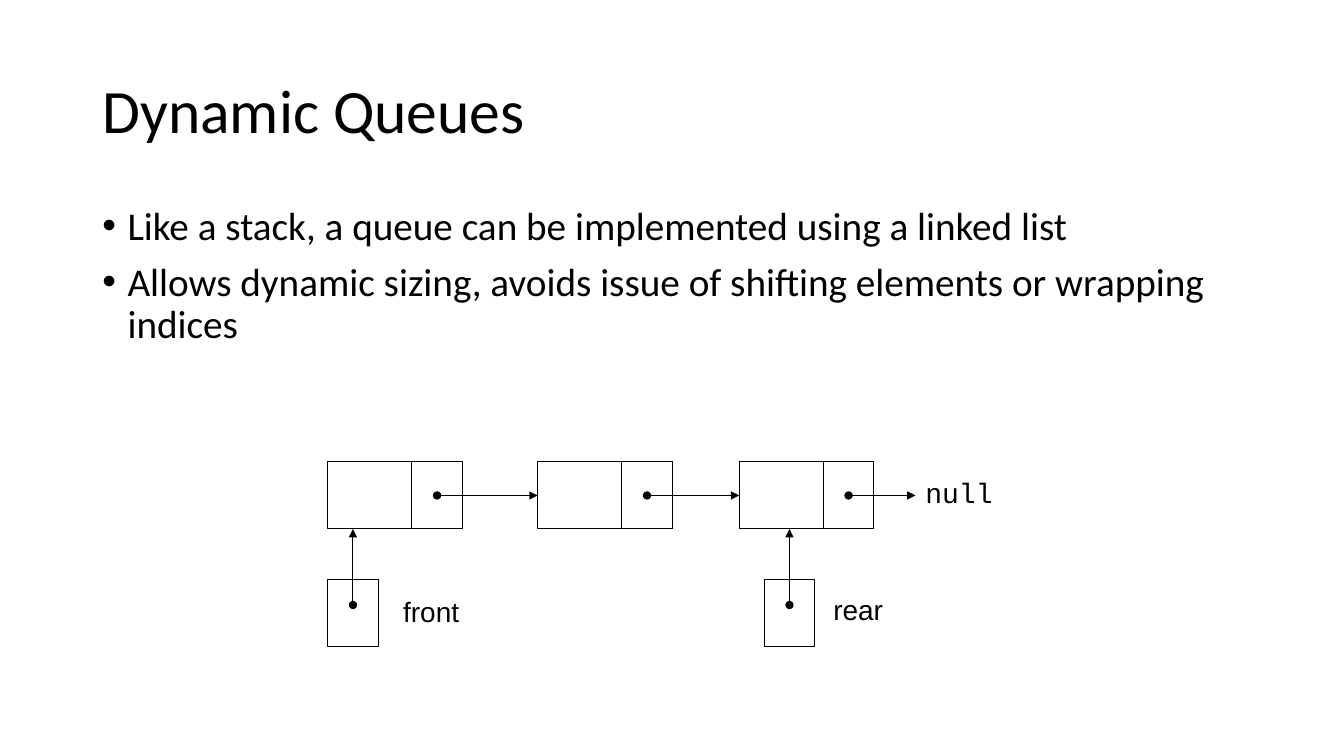
from pptx import Presentation
from pptx.dml.color import RGBColor
from pptx.enum.shapes import MSO_CONNECTOR, MSO_SHAPE
from pptx.enum.text import MSO_ANCHOR
from pptx.oxml.ns import qn
from pptx.util import Cm, Pt
from lxml.etree import SubElement

TITLE = "Dynamic Queues"
POINTS = [
    "Like a stack, a queue can be implemented using a linked list",
    "Allows dynamic sizing, avoids issue of shifting elements or wrapping indices",
]
INK = "000000"
NODES = [8.26, 13.55, 18.63]  # left edges of the list nodes
NODE_TOP, NODE_WIDE, CELL, HIGH = 11.64, 3.39, 1.27, 1.69
NULL_LEFT = 23.07
POINTERS = [8.26, 19.26]  # left edges of the front and rear boxes
POINTER_TOP = 14.61
LABELS = [
    ("front", "Arial", 9.91, 14.86, 1.93),
    ("rear", "Arial", 20.75, 14.81, 1.78),
    ("null", "Courier New", NULL_LEFT, 11.86, 2.24),
]


def color(code):
    """Turn a hex string into a colour."""
    return RGBColor.from_string(code)


def add_text(lines, box, font, size, wrap=True, anchor=MSO_ANCHOR.TOP):
    """Add a text box with one paragraph per line and return its paragraphs."""
    frame = slide.shapes.add_textbox(*map(Cm, box)).text_frame
    frame.word_wrap = wrap
    frame.vertical_anchor = anchor
    for i, line in enumerate(lines):
        para = frame.add_paragraph() if i else frame.paragraphs[0]
        run = para.add_run()
        run.text = line
        run.font.name = font
        run.font.size = Pt(size)
        run.font.color.rgb = color(INK)
    return frame.paragraphs


def add_bullet(para):
    """Give a paragraph a hanging bullet."""
    props = para._p.get_or_add_pPr()
    indent = Cm(0.635)
    props.set("marL", str(indent))
    props.set("indent", str(-indent))
    SubElement(props, qn("a:buFont")).set("typeface", "Arial")
    SubElement(props, qn("a:buChar")).set("char", "•")


def add_box(left, top, wide):
    """Add an unfilled outlined box."""
    box = slide.shapes.add_shape(
        MSO_SHAPE.RECTANGLE, Cm(left), Cm(top), Cm(wide), Cm(HIGH))
    box.shadow.inherit = False
    box.fill.background()
    box.line.color.rgb = color(INK)
    box.line.width = Pt(0.75)


def add_arrow(*ends):
    """Add an arrow that starts with a dot."""
    arrow = slide.shapes.add_connector(MSO_CONNECTOR.STRAIGHT, *map(Cm, ends))
    arrow.line.color.rgb = color(INK)
    arrow.line.width = Pt(0.75)
    line = arrow.line._get_or_add_ln()
    SubElement(line, qn("a:headEnd")).set("type", "oval")
    SubElement(line, qn("a:tailEnd")).set("type", "triangle")
    SubElement(arrow._element.spPr, qn("a:effectLst"))


deck = Presentation()
deck.slide_width, deck.slide_height = Cm(33.87), Cm(19.05)
slide = deck.slides.add_slide(deck.slide_layouts[6])

heading = add_text([TITLE], (2.33, 1.01, 29.21, 3.68), "Calibri", 44,
                   anchor=MSO_ANCHOR.MIDDLE)
heading[0].line_spacing = 0.9
for para in add_text(POINTS, (2.33, 5.07, 29.21, 12.09), "Calibri", 28):
    para.line_spacing = 0.9
    para.space_before = Pt(10)
    add_bullet(para)

for left, target in zip(NODES, NODES[1:] + [NULL_LEFT]):
    link = left + NODE_WIDE - CELL
    middle = NODE_TOP + HIGH / 2
    add_box(left, NODE_TOP, NODE_WIDE)
    add_box(link, NODE_TOP, CELL)
    add_arrow(link + CELL / 2, middle, target, middle)

for left in POINTERS:
    center = left + CELL / 2
    add_box(left, POINTER_TOP, CELL)
    add_arrow(center, POINTER_TOP + CELL / 2, center, NODE_TOP + HIGH)

for word, font, left, top, wide in LABELS:
    add_text([word], (left, top, wide, 1.1), font, 20, wrap=False)

deck.save("out.pptx")
